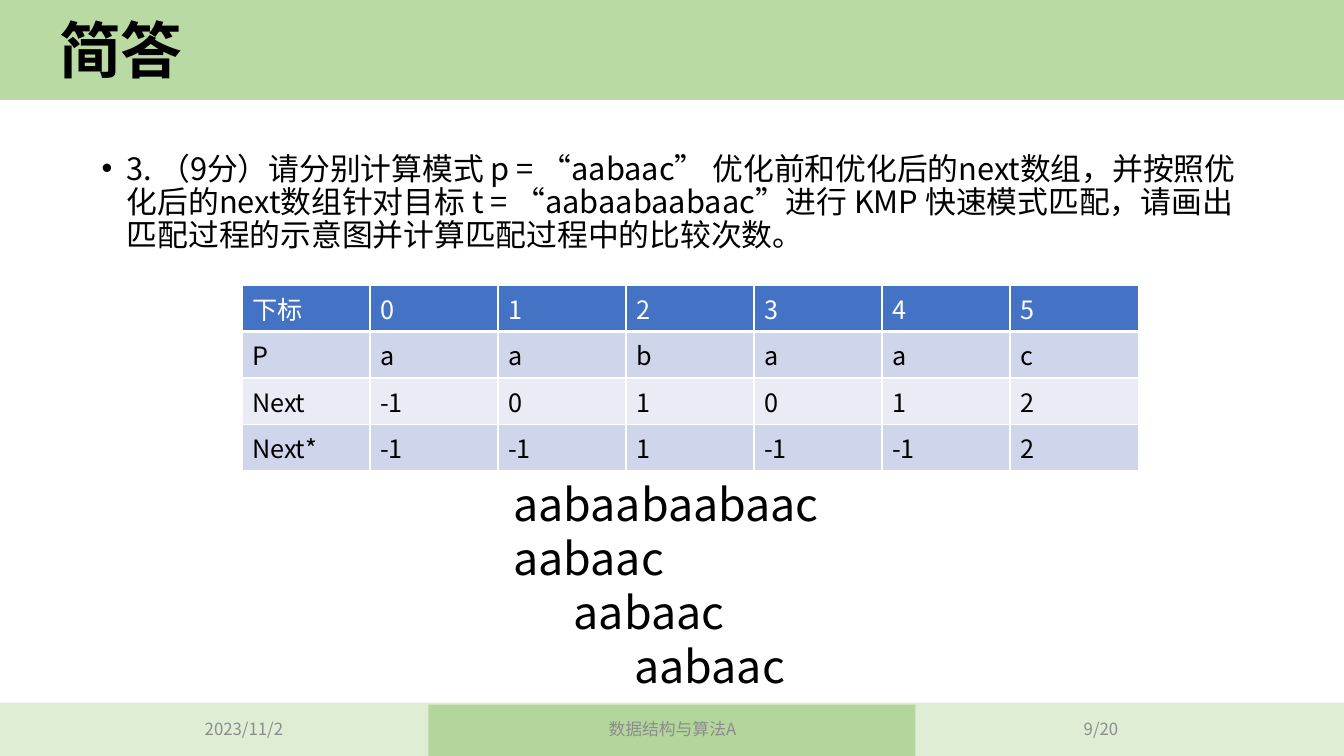
from lxml import etree
from pptx import Presentation
from pptx.dml.color import RGBColor
from pptx.enum.shapes import MSO_SHAPE
from pptx.enum.text import MSO_ANCHOR, PP_ALIGN
from pptx.oxml.ns import qn
from pptx.util import Inches, Pt

RECT = MSO_SHAPE.RECTANGLE
LEFT, CENTER = PP_ALIGN.LEFT, PP_ALIGN.CENTER
TOP, MIDDLE = MSO_ANCHOR.TOP, MSO_ANCHOR.MIDDLE

BLACK = RGBColor(0x00, 0x00, 0x00)
WHITE = RGBColor(0xFF, 0xFF, 0xFF)
GRAY = RGBColor(0x8C, 0x8C, 0x8C)
GREEN = RGBColor(0xA9, 0xD1, 0x8E)
PALE = RGBColor(0xC5, 0xE0, 0xB4)
BLUE = RGBColor(0x44, 0x72, 0xC4)
DARK = RGBColor(0xCF, 0xD5, 0xEA)
LIGHT = RGBColor(0xE9, 0xEB, 0xF5)
SANS = "Noto Sans CJK SC"
BODY = "Noto Sans CJK JP"


def write(frame, text, size=18, color=BLACK, font=SANS, bold=False,
          align=LEFT, anchor=TOP, space=None):
    frame.word_wrap = True
    frame.vertical_anchor = anchor
    frame.text = text
    for para in frame.paragraphs:
        para.alignment = align
        para.line_spacing = space
        for run in para.runs:
            run.font.size = Pt(size)
            run.font.bold = bold
            run.font.color.rgb = color
            run.font.name = font
            etree.SubElement(run._r.get_or_add_rPr(), qn("a:ea"), typeface=font)
    return frame.paragraphs


def add_text(box, text, **form):
    shape = slide.shapes.add_textbox(*[Inches(n) for n in box])
    return write(shape.text_frame, text, **form)


deck = Presentation()
deck.slide_width = Inches(13.33)
deck.slide_height = Inches(7.5)
slide = deck.slides.add_slide(deck.slide_layouts[6])

bands = [
    ((0, 0, 13.33, 0.99), GREEN, 80),
    ((0, 6.97, 13.33, 0.53), PALE, 55),
    ((4.25, 6.99, 4.83, 0.51), GREEN, 80),
]
for box, color, alpha in bands:
    band = slide.shapes.add_shape(RECT, *[Inches(n) for n in box])
    band.shadow.inherit = False
    band.line.fill.background()
    band.fill.solid()
    band.fill.fore_color.rgb = color
    tint = band._element.spPr.find(".//" + qn("a:srgbClr"))
    etree.SubElement(tint, qn("a:alpha"), val=str(alpha * 1000))

task = (
    "3. （9分）请分别计算模式 p = “aabaac” 优化前和优化后的next数组，"
    "并按照优化后的next数组针对目标 t = “aabaabaabaac”进行 KMP 快速模式匹配，"
    "请画出匹配过程的示意图并计算匹配过程中的比较次数。"
)
para = add_text((0.91, 1.47, 11.5, 1.2), task, size=22, font=BODY, space=Pt(23.8))[0]
props = para._p.get_or_add_pPr()
props.set("marL", str(Inches(0.25)))
props.set("indent", str(Inches(-0.25)))
etree.SubElement(props, qn("a:buFont"), typeface="Arial")
etree.SubElement(props, qn("a:buChar"), char="•")

rows = [
    ["下标", "0", "1", "2", "3", "4", "5"],
    ["P", "a", "a", "b", "a", "a", "c"],
    ["Next", "-1", "0", "1", "0", "1", "2"],
    ["Next*", "-1", "-1", "1", "-1", "-1", "2"],
]
fills = [BLUE, DARK, LIGHT, DARK]
table = slide.shapes.add_table(
    len(rows), len(rows[0]), Inches(2.4), Inches(2.83), Inches(8.89), Inches(1.84)
).table
for r, (row, fill) in enumerate(zip(rows, fills)):
    for c, text in enumerate(row):
        cell = table.cell(r, c)
        write(cell.text_frame, text, color=BLACK if r else WHITE)
        props = cell._tc.get_or_add_tcPr()
        for side in ("lnL", "lnR", "lnT", "lnB"):
            width = 3 if r == 0 and side == "lnB" else 1
            line = etree.SubElement(props, qn("a:" + side), w=str(Pt(width)))
            paint = etree.SubElement(line, qn("a:solidFill"))
            etree.SubElement(paint, qn("a:srgbClr"), val=str(WHITE))
        cell.fill.solid()
        cell.fill.fore_color.rgb = fill

match = "\n".join(["aabaabaabaac"] + ["aabaac"] * 3)
lines = add_text((4.99, 4.68, 5.55, 2.26), match, size=32, space=Pt(38.6))
for step, para in enumerate(lines[1:]):
    para._p.get_or_add_pPr().set("marL", str(Inches(0.6 * step)))

add_text((0.49, 0.12, 10.43, 0.82), "简答", size=44, bold=True,
         anchor=MIDDLE, space=0.9)
feet = [(0.92, 3, "2023/11/2"), (4.42, 4.5, "数据结构与算法A"), (9.42, 3, "9/20")]
for left, width, text in feet:
    add_text((left, 7.03, width, 0.4), text, size=12, color=GRAY,
             align=CENTER, anchor=MIDDLE)

deck.save("out.pptx")
